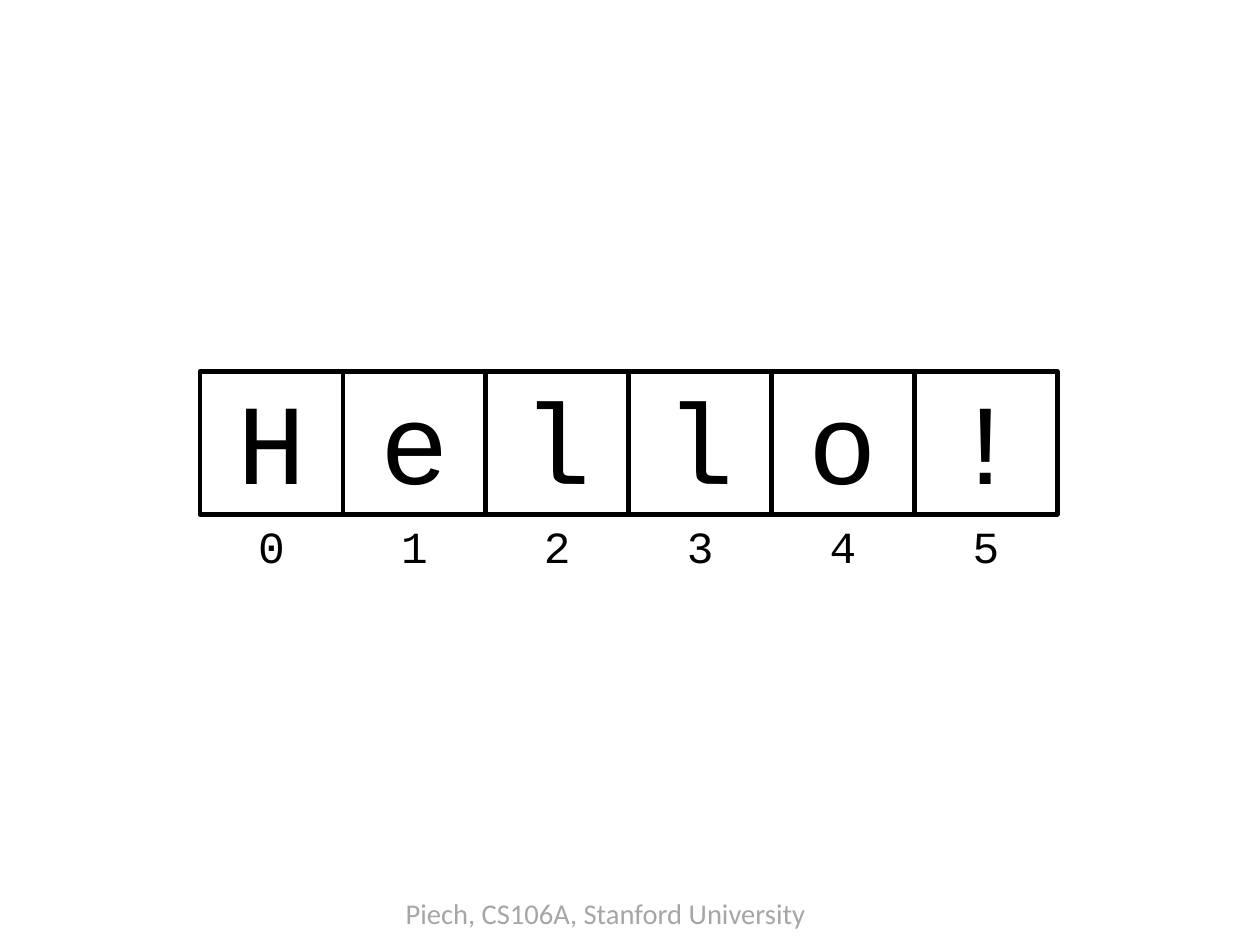
from dataclasses import dataclass

from pptx import Presentation
from pptx.dml.color import RGBColor as RGB
from pptx.enum.shapes import MSO_SHAPE as Shape
from pptx.enum.text import MSO_ANCHOR as Anchor, PP_ALIGN as Align
from pptx.util import Cm, Inches, Pt

# Content
WORD = "Hello!"
CREDIT = "Piech, CS106A, Stanford University"


@dataclass(frozen=True)
class Theme:
    ink: RGB = RGB(0, 0, 0)
    gray: RGB = RGB(0xA6, 0xA6, 0xA6)
    code: str = "Courier New"
    body: str = "Calibri"
    letter: int = 72
    index: int = 28
    small: int = 18
    line: float = 2.89


THEME = Theme()

# Page in centimetres, grid in inches
WIDTH, HEIGHT = Cm(28), Cm(21)
CELL = 1.25
LEFT, TOP = 1.75, 3.25
LABEL = 0.53


def write(shape, text, size, font, color, pads, align, gap, wrap):
    frame = shape.text_frame
    frame.word_wrap = wrap
    (frame.margin_left, frame.margin_top,
     frame.margin_right, frame.margin_bottom) = map(Inches, pads)
    frame.text = text
    para = frame.paragraphs[0]
    para.alignment = align
    para.line_spacing = gap
    font_of = para.runs[0].font
    font_of.size = Pt(size)
    font_of.name = font
    font_of.color.rgb = color


def add_cell(slide, left, char):
    box = slide.shapes.add_shape(
        Shape.RECTANGLE, *map(Inches, (left, TOP, CELL, CELL)))
    box.shadow.inherit = False
    box.fill.background()
    box.line.color.rgb = THEME.ink
    box.line.width = Pt(THEME.line)
    box.text_frame.vertical_anchor = Anchor.MIDDLE
    write(box, char, THEME.letter, THEME.code, THEME.ink,
          (0.12, 0.09, 0.12, 0.07), Align.CENTER, 0.98, False)


def add_index(slide, left, num):
    box = slide.shapes.add_textbox(
        *map(Inches, (left, TOP + CELL, CELL, LABEL)))
    write(box, str(num), THEME.index, THEME.code, THEME.ink,
          (0.1, 0.08, 0.1, 0.05), Align.CENTER, 0.93, True)


def main():
    deck = Presentation()
    deck.slide_width, deck.slide_height = WIDTH, HEIGHT
    slide = deck.slides.add_slide(deck.slide_layouts[6])

    # Footer credit
    foot = slide.shapes.add_textbox(*map(Inches, (3.45, 7.82, 3.74, 0.38)))
    write(foot, CREDIT, THEME.small, THEME.body, THEME.gray,
          (0.1, 0.05, 0.1, 0.05), Align.LEFT, 0.93, False)

    # One boxed letter per column, with its index below
    for num, char in enumerate(WORD):
        left = LEFT + num * CELL
        add_cell(slide, left, char)
        add_index(slide, left, num)

    deck.save("out.pptx")


if __name__ == "__main__":
    main()
